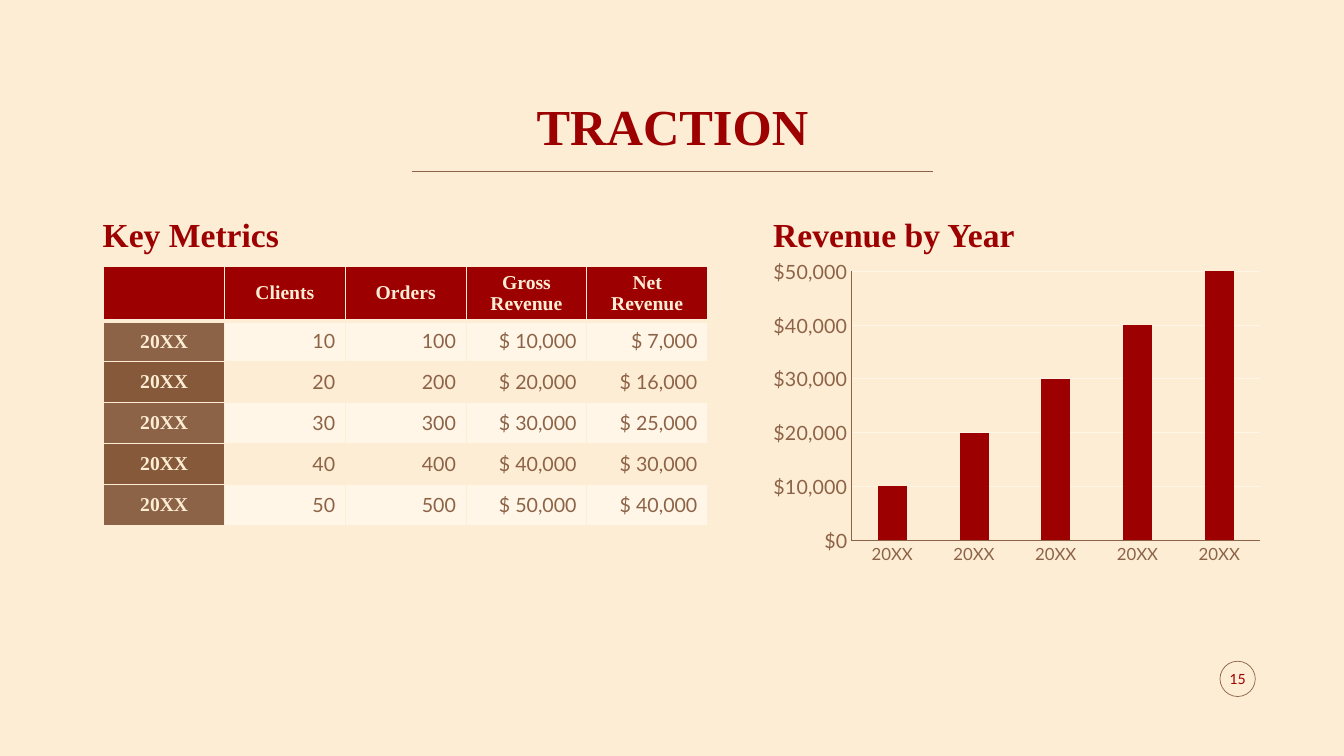
from lxml import etree
from pptx import Presentation
from pptx.chart.data import CategoryChartData
from pptx.dml.color import RGBColor
from pptx.enum.chart import XL_CHART_TYPE, XL_TICK_MARK
from pptx.enum.shapes import MSO_CONNECTOR, MSO_SHAPE
from pptx.enum.text import MSO_ANCHOR, MSO_AUTO_SIZE, PP_ALIGN
from pptx.oxml.ns import qn
from pptx.util import Inches, Pt

LEFT, CENTER, RIGHT = PP_ALIGN.LEFT, PP_ALIGN.CENTER, PP_ALIGN.RIGHT
MIDDLE, BOTTOM = MSO_ANCHOR.MIDDLE, MSO_ANCHOR.BOTTOM
NO_TICKS = XL_TICK_MARK.NONE

# Style
CREAM = RGBColor(0xFC, 0xED, 0xD4)
PALE = RGBColor(0xFF, 0xF6, 0xE7)
RED = RGBColor(0x9D, 0x00, 0x00)
BRIGHT_RED = RGBColor(0xFF, 0x00, 0x00)
BLUE = RGBColor(0x00, 0xAE, 0xEF)
BROWN = RGBColor(0x8D, 0x63, 0x47)
DARK_BROWN = RGBColor(0x85, 0x59, 0x39)
SERIF, SANS = "Times New Roman", "Lato"

# Content
TITLE = "TRACTION"
HEADINGS = [("Key Metrics", 0.92, 5.71), ("Revenue by Year", 7.57, 4.91)]
METRICS = [
    ("", "Clients", "Orders", "Gross Revenue", "Net Revenue"),
    ("20XX", "10", "100", "$ 10,000", "$ 7,000"),
    ("20XX", "20", "200", "$ 20,000", "$ 16,000"),
    ("20XX", "30", "300", "$ 30,000", "$ 25,000"),
    ("20XX", "40", "400", "$ 40,000", "$ 30,000"),
    ("20XX", "50", "500", "$ 50,000", "$ 40,000"),
]
YEARS = ["20XX"] * 5
SERIES = [
    ("Series 1", [10000, 20000, 30000, 40000, 50000], RED),
    ("Series 2", [None] * 5, BRIGHT_RED),
    ("Series 3", [None] * 5, BLUE),
]
PAGE = "15"

# Grid, in inches
SLIDE_W, SLIDE_H = 13.33, 7.5
HEADING_TOP, HEADING_H = 2.07, 0.44
TABLE_LEFT, TABLE_TOP, TABLE_W = 1.03, 2.64, 5.99
COL_W = TABLE_W / len(METRICS[0])
HEAD_H, ROW_H = 0.53, 2.44 / len(METRICS)


def style_font(font, size, face, color, bold=False):
    font.size, font.name, font.bold = Pt(size), face, bold
    font.color.rgb = color


def write(tf, text, size, face, color, bold=False, align=LEFT):
    p = tf.paragraphs[0]
    p.alignment = align
    r = p.add_run()
    r.text = text
    style_font(r.font, size, face, color, bold)
    return p


def border(cell, side, color, width):
    ln = etree.SubElement(cell._tc.get_or_add_tcPr(), qn("a:" + side), w=str(Pt(width)))
    fill = etree.SubElement(ln, qn("a:solidFill"))
    etree.SubElement(fill, qn("a:srgbClr"), val=str(color))


def style_line(line, color, width):
    line.color.rgb = color
    line.width = Pt(width)


prs = Presentation()
prs.slide_width, prs.slide_height = Inches(SLIDE_W), Inches(SLIDE_H)
s = prs.slides.add_slide(prs.slide_layouts[5])
s.background.fill.solid()
s.background.fill.fore_color.rgb = CREAM

# Title and rule
title = s.shapes.title
title.left, title.top = Inches(0.92), Inches(0.83)
title.width, title.height = Inches(11.5), Inches(0.77)
tf = title.text_frame
tf.auto_size = MSO_AUTO_SIZE.NONE
tf.vertical_anchor = BOTTOM
write(tf, TITLE, 36, SERIF, RED, True, CENTER).line_spacing = 0.9

rule = s.shapes.add_connector(MSO_CONNECTOR.STRAIGHT, Inches(4.09), Inches(1.7),
                              Inches(9.25), Inches(1.7))
style_line(rule.line, BROWN, 1)
etree.SubElement(rule._element.spPr, qn("a:effectLst"))

# Section headings
for text, left, width in HEADINGS:
    sp = s.shapes.add_textbox(Inches(left), Inches(HEADING_TOP), Inches(width), Inches(HEADING_H))
    sp.text_frame.word_wrap = True
    write(sp.text_frame, text, 24, SERIF, RED, True).space_before = Pt(6)

# Metrics table
rows, cols = len(METRICS), len(METRICS[0])
table = s.shapes.add_table(rows, cols, Inches(TABLE_LEFT), Inches(TABLE_TOP), Inches(TABLE_W),
                           Inches(HEAD_H + (rows - 1) * ROW_H)).table
table.horz_banding = False
for col in table.columns:
    col.width = Inches(COL_W)
for i, values in enumerate(METRICS):
    table.rows[i].height = Inches(ROW_H if i else HEAD_H)
    banded = i % 2 == 1
    for j, value in enumerate(values):
        cell = table.cell(i, j)
        cell.vertical_anchor = MIDDLE
        for side in ("lnL", "lnR", "lnT", "lnB"):
            thick = (i == 0 and side == "lnB") or (i == 1 and side == "lnT")
            border(cell, side, CREAM, 3 if thick else 1)
        if i == 0:
            fill = RED
        elif j == 0:
            fill = BROWN if banded else DARK_BROWN
        else:
            fill = PALE if banded else None
        if fill is None:
            cell.fill.background()
        else:
            cell.fill.solid()
            cell.fill.fore_color.rgb = fill
        if not value:
            continue
        if i == 0 or j == 0:
            p = write(cell.text_frame, value, 14, SERIF, CREAM, True, CENTER)
            if i == 0:
                p.line_spacing = 0.95
        else:
            write(cell.text_frame, value, 14, SANS, BROWN, False, RIGHT)

# Revenue chart
data = CategoryChartData()
data.categories = YEARS
for name, values, _ in SERIES:
    data.add_series(name, values)
chart = s.shapes.add_chart(XL_CHART_TYPE.COLUMN_CLUSTERED, Inches(7.57), Inches(2.51),
                           Inches(5.03), Inches(3.15), data).chart
chart.has_legend = chart.has_title = False
style_font(chart.font, 10, SANS, RED)
plot = chart.plots[0]
plot.gap_width, plot.overlap, plot.vary_by_categories = 182, 100, False
for bars, (_, _, color) in zip(plot.series, SERIES):
    bars.format.fill.solid()
    bars.format.fill.fore_color.rgb = color
for axis, size in ((chart.category_axis, 12), (chart.value_axis, 14)):
    axis.major_tick_mark = axis.minor_tick_mark = NO_TICKS
    style_font(axis.tick_labels.font, size, SANS, BROWN)
    style_line(axis.format.line, BROWN, 0.75)
amounts = chart.value_axis
amounts.minimum_scale, amounts.maximum_scale, amounts.major_unit = 0, 50000, 10000
amounts.tick_labels.number_format = "[$$-409]#,##0"
amounts.tick_labels.number_format_is_linked = False
amounts.has_major_gridlines = True
style_line(amounts.major_gridlines.format.line, PALE, 0.75)

# Page number in its circle
badge = s.shapes.add_shape(MSO_SHAPE.OVAL, Inches(12.1), Inches(6.56), Inches(0.35), Inches(0.35))
badge.shadow.inherit = False
badge.fill.background()
style_line(badge.line, BROWN, 0.5)
tf = badge.text_frame
tf.margin_left = tf.margin_right = tf.margin_top = tf.margin_bottom = 0
tf.word_wrap = False
tf.vertical_anchor = MIDDLE
write(tf, PAGE, 10, SANS, RED, align=CENTER)

prs.save("out.pptx")
